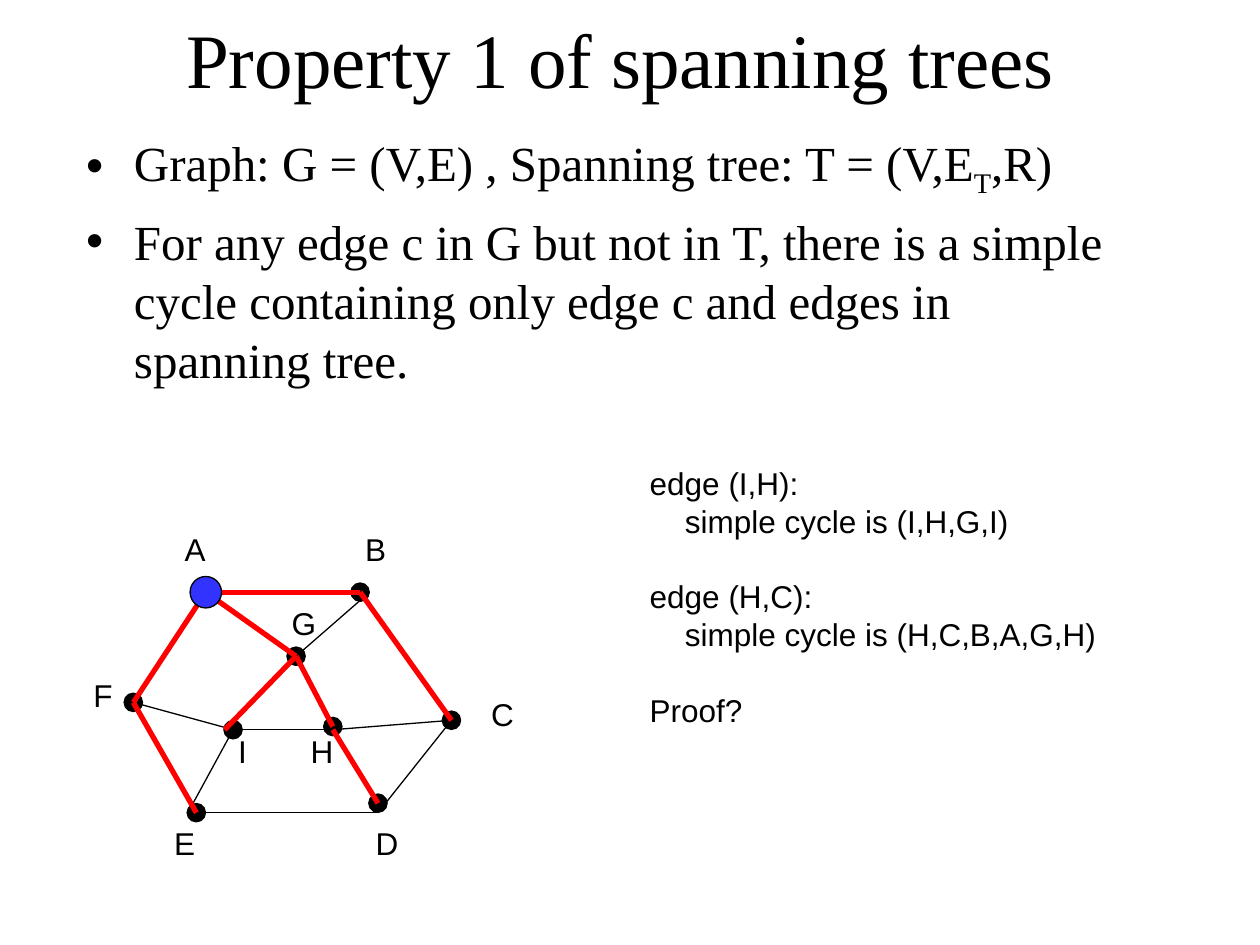
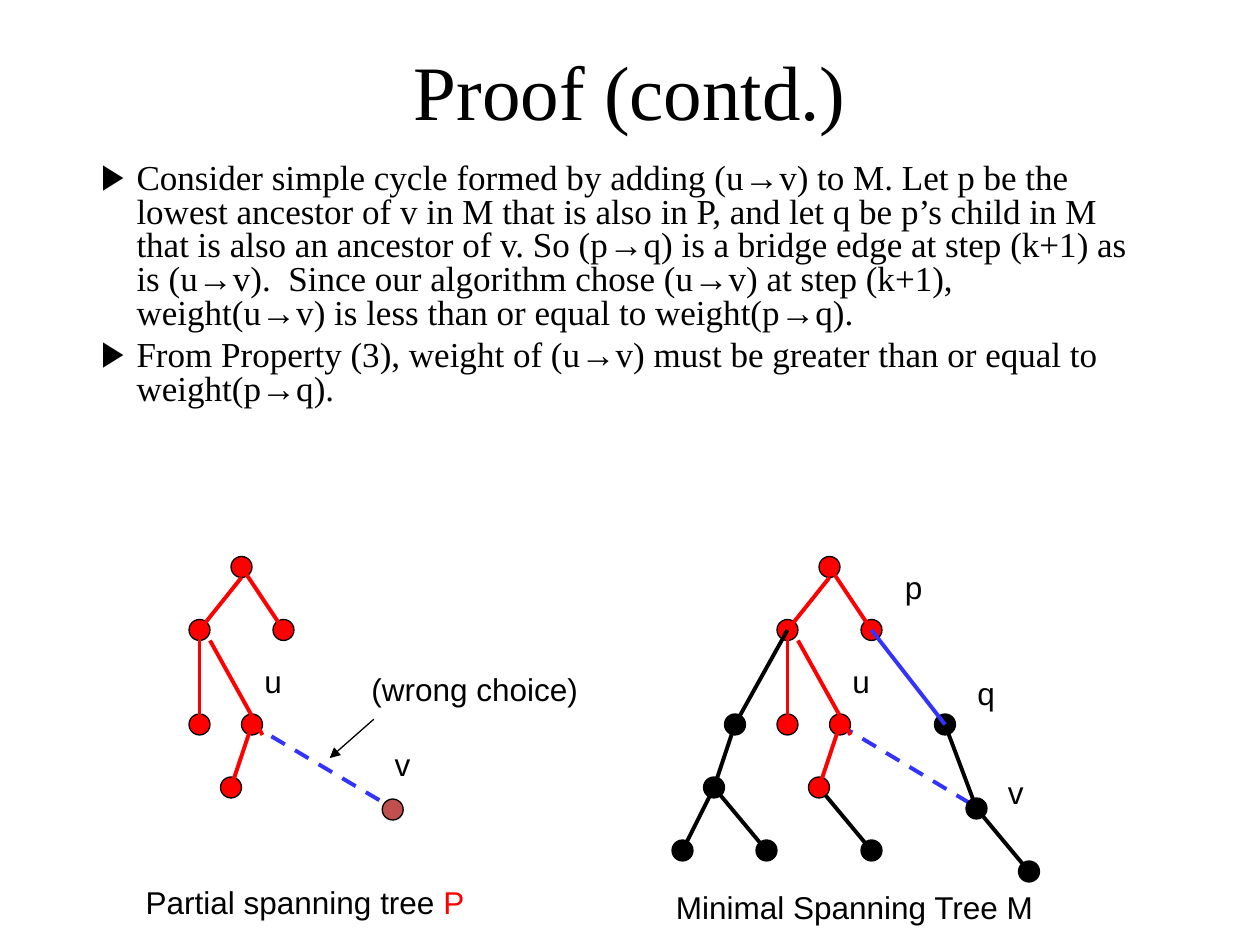
from lxml import etree
from pptx import Presentation
from pptx.dml.color import RGBColor
from pptx.enum.dml import MSO_LINE
from pptx.enum.shapes import MSO_CONNECTOR, MSO_SHAPE
from pptx.enum.text import MSO_ANCHOR, MSO_AUTO_SIZE, PP_ALIGN
from pptx.oxml.ns import qn
from pptx.util import Inches, Pt

DASH = MSO_LINE.DASH
STRAIGHT = MSO_CONNECTOR.STRAIGHT
OVAL = MSO_SHAPE.OVAL
MIDDLE, TOP = MSO_ANCHOR.MIDDLE, MSO_ANCHOR.TOP
NO_FIT, GROW = MSO_AUTO_SIZE.NONE, MSO_AUTO_SIZE.SHAPE_TO_FIT_TEXT
CENTER = PP_ALIGN.CENTER

COLORS = {"black": "000000", "red": "FF0000", "blue": "3333FF", "brick": "C0504D"}
SERIF, SANS = "Times New Roman", "Arial"
COLS, ROWS = 120, 90


class Deck:
    def __init__(self):
        self.prs = Presentation()
        self.prs.slide_width, self.prs.slide_height = Inches(10), Inches(7.5)
        self.s = None

    def grid(self, col, row):
        return (round(self.prs.slide_width * col / COLS),
                round(self.prs.slide_height * row / ROWS))

    def color(self, name):
        return RGBColor.from_string(COLORS[name])

    def style(self, r, size, font, color="black"):
        r.font.size, r.font.name = Pt(size), font
        r.font.color.rgb = self.color(color)

    def place(self, sp, col, row, width, height):
        sp.left, sp.top = self.grid(col, row)
        sp.width, sp.height = self.grid(width, height)

    def slide(self, title, col, row):
        self.s = self.prs.slides.add_slide(self.prs.slide_layouts[1])
        sp = self.s.shapes.title
        self.place(sp, col, row, 102, 15)
        tf = sp.text_frame
        tf.text = title
        tf.auto_size, tf.vertical_anchor = NO_FIT, MIDDLE
        p = tf.paragraphs[0]
        p.alignment = CENTER
        self.style(p.runs[0], 44, SERIF)

    def bullet(self, p, char, margin, hanging):
        pPr = p._p.get_or_add_pPr()
        pPr.set("marL", str(Inches(margin)))
        pPr.set("indent", str(-Inches(hanging)))
        clr = etree.SubElement(pPr, qn("a:buClr"))
        etree.SubElement(clr, qn("a:srgbClr"), val=COLORS["black"])
        etree.SubElement(pPr, qn("a:buFont"), typeface=SANS)
        etree.SubElement(pPr, qn("a:buChar"), char=char)

    def bullets(self, items, row, size, char, margin, hanging, gap, spacing=1.0):
        sp = self.s.placeholders[1]
        self.place(sp, 7, row, 102, 26)
        tf = sp.text_frame
        tf.auto_size, tf.vertical_anchor = NO_FIT, TOP
        for i, item in enumerate(items):
            p = tf.add_paragraph() if i else tf.paragraphs[0]
            self.bullet(p, char, margin, hanging)
            p.line_spacing = spacing
            p.space_before = Pt(gap if i else 0)
            for piece in item.replace("→", "|→|").split("|"):
                r = p.add_run()
                r.text = piece
                self.style(r, size, SANS if piece == "→" else SERIF)
                if piece == "T":
                    r._r.get_or_add_rPr().set("baseline", "-25000")

    def label(self, text, col, row, width=4.4, height=4.8, accent=""):
        sp = self.s.shapes.add_textbox(*self.grid(col, row), *self.grid(width, height))
        tf = sp.text_frame
        tf.text = text
        tf.word_wrap, tf.auto_size = False, GROW
        for p in tf.paragraphs:
            self.style(p.runs[0], 18, SANS)
        if accent:
            r = tf.paragraphs[0].add_run()
            r.text = accent
            self.style(r, 18, SANS, "red")
        return tf

    def dot(self, center, fill="black", size=2.0):
        col, row = center
        sp = self.s.shapes.add_shape(
            OVAL, *self.grid(col - size / 2, row - size / 2), *self.grid(size, size))
        sp.shadow.inherit = False
        sp.fill.solid()
        sp.fill.fore_color.rgb = self.color(fill)
        sp.line.color.rgb = self.color("black")
        sp.line.width = Pt(0.75)

    def edge(self, start, end, color="black", width=2.25, dash=False, arrow=False):
        c = self.s.shapes.add_connector(STRAIGHT, *self.grid(*start), *self.grid(*end))
        c.line.color.rgb = self.color(color)
        c.line.width = Pt(width)
        if dash:
            c.line.dash_style = DASH
        if arrow:
            etree.SubElement(c.line._get_or_add_ln(), qn("a:tailEnd"), type="triangle")
        etree.SubElement(c._element.spPr, qn("a:effectLst"))

    def partial_tree(self, shift):
        nodes = [(23, 54), (19, 60), (27, 60), (19, 69), (24, 69), (22, 75)]
        edges = [((23, 55), (19, 60)), ((23, 54), (27, 60)), ((19, 60), (19, 69)),
                 ((20, 61), (25, 70)), ((24, 69), (22, 75))]
        for col, row in nodes:
            self.dot((col + shift, row), "red")
        for (c1, r1), (c2, r2) in edges:
            self.edge((c1 + shift, r1), (c2 + shift, r2), "red")
        self.label("u", 24 + shift, 62.5, 4.1)


def property_slide(deck):
    deck.slide("Property 1 of spanning trees", 8.1, -2)
    deck.bullets(["Graph: G = (V,E) , Spanning tree: T = (V,E|T|,R)",
                  "For any edge c in G but not in T, there is a simple cycle "
                  "containing only edge c and edges in spanning tree."],
                 12, 28, "•", 0.38, 0.38, 7)

    nodes = {"A": (19.6, 56.4), "B": (34.3, 56.4), "C": (43, 68.6),
             "D": (36, 76.5), "E": (18.7, 77.4), "F": (12.7, 66.9),
             "G": (28.2, 62.5), "H": (31.7, 69.2), "I": (22.2, 69.5)}
    labels = {"A": (16.4, 49.9), "B": (33.6, 49.9), "C": (45.6, 65.6),
              "D": (34.6, 77.9), "E": (15.4, 77.9), "F": (7.7, 63.8),
              "G": (26.6, 56.9), "H": (28.4, 69.1), "I": (21.5, 69.1)}
    below_h, below_d = (31.7, 69.5), (36, 77.4)
    tree = ["AB", "BC", "AF", "FE", "AG", ("G", (21.4, 69.5)), "HG", (below_h, "D")]
    others = [("E", below_d), (below_d, "C"), ("G", (35.2, 56.4)), ("I", below_h),
              "FI", ("I", (17.9, 77.4)), (below_h, "C")]

    for center in nodes.values():
        deck.dot(center, size=1.75)
    for edges, color, width in ((others, "black", 0.75), (tree, "red", 3)):
        for a, b in edges:
            deck.edge(nodes.get(a, a), nodes.get(b, b), color, width)
    for name, spot in labels.items():
        deck.label(name, *spot, width=3.2 if name == "I" else 4.4)
    deck.dot(nodes["A"], "blue", 3)

    lines = ["edge (I,H):", "simple cycle is (I,H,G,I)",
             "edge (H,C):", "simple cycle is (H,C,B,A,G,H)", "Proof?"]
    tf = deck.label("\n".join(lines), 60.7, 43.6, 44.9, 26.4)
    for i, p in enumerate(tf.paragraphs):
        if i % 2:
            p._p.get_or_add_pPr().set("marL", str(Inches(0.28)))
        elif i:
            p.space_before = Pt(21.6)


def proof_slide(deck):
    deck.slide("Proof (contd.)", 9, 1)
    deck.bullets(["Consider simple cycle formed by adding (u→v) to M. Let p be the "
                  "lowest ancestor of v in M that is also in P, and let q be p’s child "
                  "in M that is also an ancestor of v. So (p→q) is a bridge edge at "
                  "step (k+1) as is (u→v).  Since our algorithm chose (u→v) at step "
                  "(k+1), weight(u→v) is less than or equal to weight(p→q).",
                  "From Property (3), weight of (u→v) must be greater than or equal "
                  "to weight(p→q)."],
                 15, 20, "▶", 0.4, 0.28, 5, 0.8)

    deck.edge((79.9, 69), (93.7, 77.3), "blue", dash=True)
    deck.edge((23.6, 68.8), (37.3, 76.9), "blue", dash=True)

    deck.partial_tree(0)
    deck.dot((37.4, 77.1), "brick")
    deck.label("v", 36.4, 70.4, 3.8)
    deck.label("(wrong choice)", 34.2, 63.2, 22.1)
    deck.edge((35.6, 68.5), (31.4, 72.2), width=0.75, arrow=True)
    deck.label("Partial spanning tree ", 12.7, 83.5, 32.8, accent="P")

    p, q, v, last = (83, 60), (90, 69), (93, 77), (98, 83)
    left, outer, fork = (75, 60), (70, 69), (68, 75)
    leaves = [(65, 81), (73, 81)]
    inner, inner_leaf = (78, 75), (83, 81)
    for center in (q, v, last, outer, fork, inner_leaf, *leaves):
        deck.dot(center)
    deck.edge(inner, inner_leaf)
    deck.partial_tree(56)
    for start, end in ((left, outer), (outer, fork), (q, v), (v, last)):
        deck.edge(start, end)
    for leaf in leaves:
        deck.edge(fork, leaf)
    deck.edge(p, q, "blue")
    for text, col, row in (("p", 85, 53.5), ("q", 91.9, 63.6), ("v", 94.8, 73)):
        deck.label(text, col, row, 4)
    deck.label("Minimal Spanning Tree M", 63.2, 84, 36.6)


def main():
    deck = Deck()
    property_slide(deck)
    proof_slide(deck)
    deck.prs.save("out.pptx")


if __name__ == "__main__":
    main()
